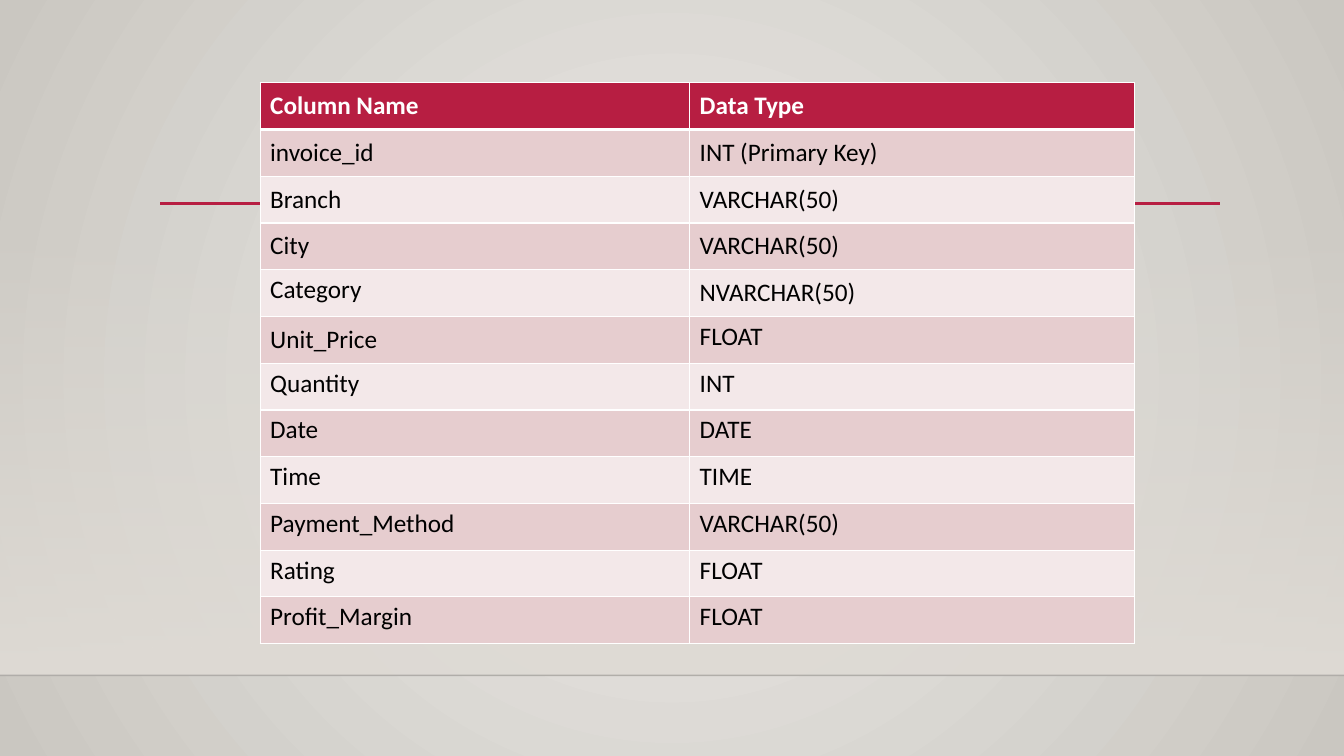
from lxml.etree import SubElement
from pptx import Presentation
from pptx.dml.color import RGBColor
from pptx.enum.shapes import MSO_CONNECTOR, MSO_SHAPE
from pptx.enum.text import MSO_ANCHOR
from pptx.oxml import parse_xml
from pptx.oxml.ns import nsdecls, qn
from pptx.util import Inches, Pt

CRIMSON = RGBColor(0xB7, 0x1E, 0x42)
PINK = RGBColor(0xE6, 0xCD, 0xCF)
PALE_PINK = RGBColor(0xF3, 0xE8, 0xE9)
WHITE = RGBColor(0xFF, 0xFF, 0xFF)
BLACK = RGBColor(0, 0, 0)
NEAR_BLACK = RGBColor(0, 0, 1)
SAND = RGBColor(0xDF, 0xDB, 0xD5)
LIGHT_GREY = RGBColor(0xEC, 0xEA, 0xE7)
WARM_GREY = RGBColor(0xCA, 0xC7, 0xC1)

COLUMNS = [
    ("Column Name", "Data Type"),
    ("invoice_id", "INT (Primary Key)"),
    ("Branch", "VARCHAR(50)"),
    ("City", "VARCHAR(50)"),
    ("Category", "NVARCHAR(50)"),
    ("Unit_Price", "FLOAT"),
    ("Quantity", "INT"),
    ("Date", "DATE"),
    ("Time", "TIME"),
    ("Payment_Method", "VARCHAR(50)"),
    ("Rating", "FLOAT"),
    ("Profit_Margin", "FLOAT"),
]
# The first rows of each column are centred vertically, the rest sit at the top
MIDDLE_ROWS = [(0, 1, 2, 3, 5), (0, 1, 2, 3, 4)]


def set_gradient(fill, colors):
    fill.gradient()
    for position, (stop, color) in enumerate(zip(fill.gradient_stops, colors)):
        stop.position = position
        stop.color.rgb = color


def set_alpha(parent, percent):
    color = next(parent.iter(qn("a:srgbClr")))
    SubElement(color, qn("a:alpha")).set("val", str(percent * 1000))


presentation = Presentation()
presentation.slide_width = Inches(13.33)
presentation.slide_height = Inches(7.5)
slide = presentation.slides.add_slide(presentation.slide_layouts[6])

# Background: circular gradient from the centre
set_gradient(slide.background.fill, (LIGHT_GREY, WARM_GREY))
linear = next(slide.element.iter(qn("a:lin")))
linear.getparent().replace(linear, parse_xml(
    f'<a:path {nsdecls("a")} path="circle">'
    '<a:fillToRect l="50000" t="50000" r="50000" b="50000"/></a:path>'))

# Wall: fades in from transparent to sand
wall = slide.shapes.add_shape(
    MSO_SHAPE.RECTANGLE, 0, Inches(2.21), Inches(13.33), Inches(4.49))
wall.shadow.inherit = False
wall.line.fill.background()
set_gradient(wall.fill, (SAND, SAND))
wall.fill.gradient_angle = 270
set_alpha(wall.element.spPr, 0)

# Floor edge and title rule
for left, right, top, color, width, alpha in [
    (0, 13.33, 6.7, NEAR_BLACK, 1, 20),
    (1.59, 12.1, 2.02, CRIMSON, 2.5, 100),
]:
    rule = slide.shapes.add_connector(
        MSO_CONNECTOR.STRAIGHT, Inches(left), Inches(top), Inches(right), Inches(top))
    rule.line.color.rgb = color
    rule.line.width = Pt(width)
    set_alpha(rule.element.spPr, alpha)
    SubElement(rule.element.spPr, qn("a:effectLst"))

# Table of column names and data types
table = slide.shapes.add_table(
    len(COLUMNS), 2, Inches(2.58), Inches(0.82), Inches(8.68), Inches(5.57)).table
table.columns[0].width = Inches(4.26)
table.columns[1].width = Inches(4.41)

for row, texts in enumerate(COLUMNS):
    header = row == 0
    for column, text in enumerate(texts):
        cell = table.cell(row, column)
        cell.text = text
        if row in MIDDLE_ROWS[column]:
            cell.vertical_anchor = MSO_ANCHOR.MIDDLE
        cell.fill.solid()
        cell.fill.fore_color.rgb = CRIMSON if header else PINK if row % 2 else PALE_PINK
        font = cell.text_frame.paragraphs[0].runs[0].font
        for name, value in {"name": "Calibri", "size": Pt(18), "bold": header}.items():
            setattr(font, name, value)
        font.color.rgb = WHITE if header else BLACK

        # White borders, thicker under the header
        widths = {"L": 1, "R": 1, "T": 3 if row == 1 else 1, "B": 3 if header else 1}
        for index, (side, width) in enumerate(widths.items()):
            cell._tc.get_or_add_tcPr().insert(index, parse_xml(
                f'<a:ln{side} {nsdecls("a")} w="{Pt(width)}"><a:solidFill>'
                f'<a:srgbClr val="{WHITE}"/></a:solidFill></a:ln{side}>'))

presentation.save("out.pptx")
